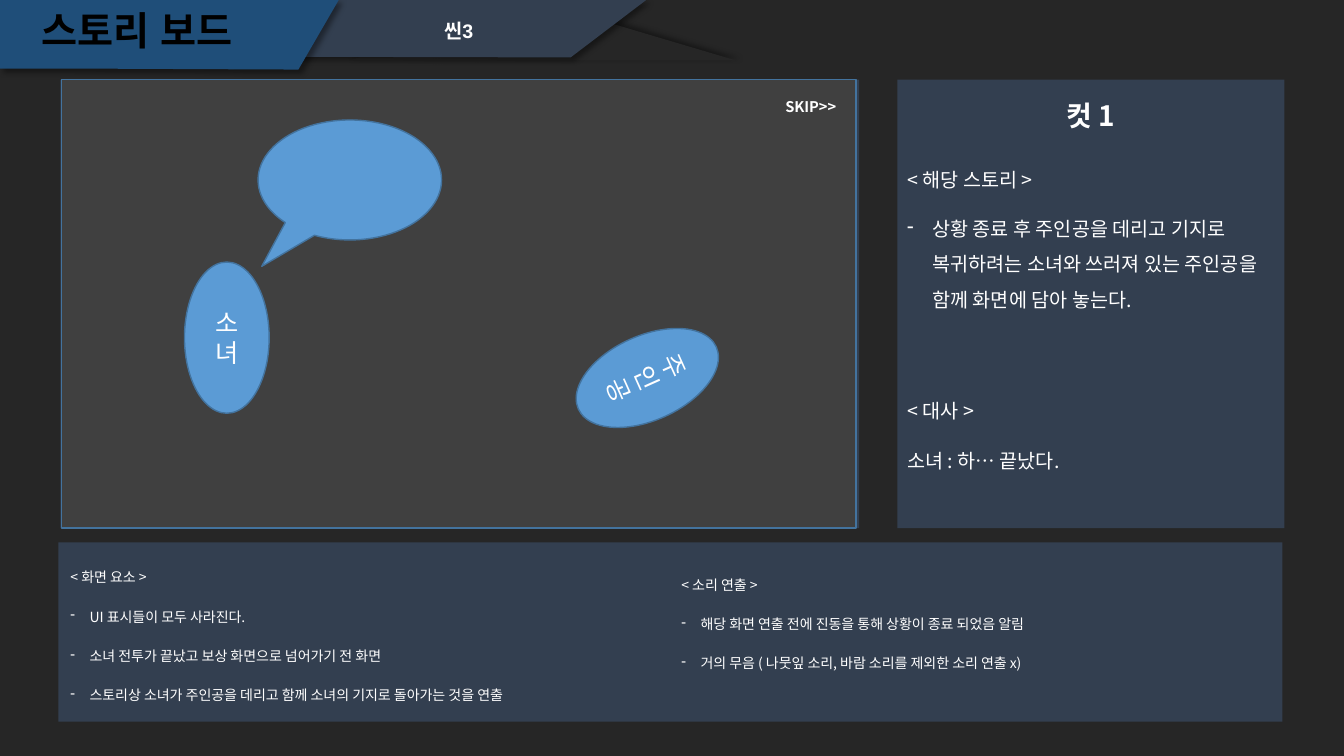
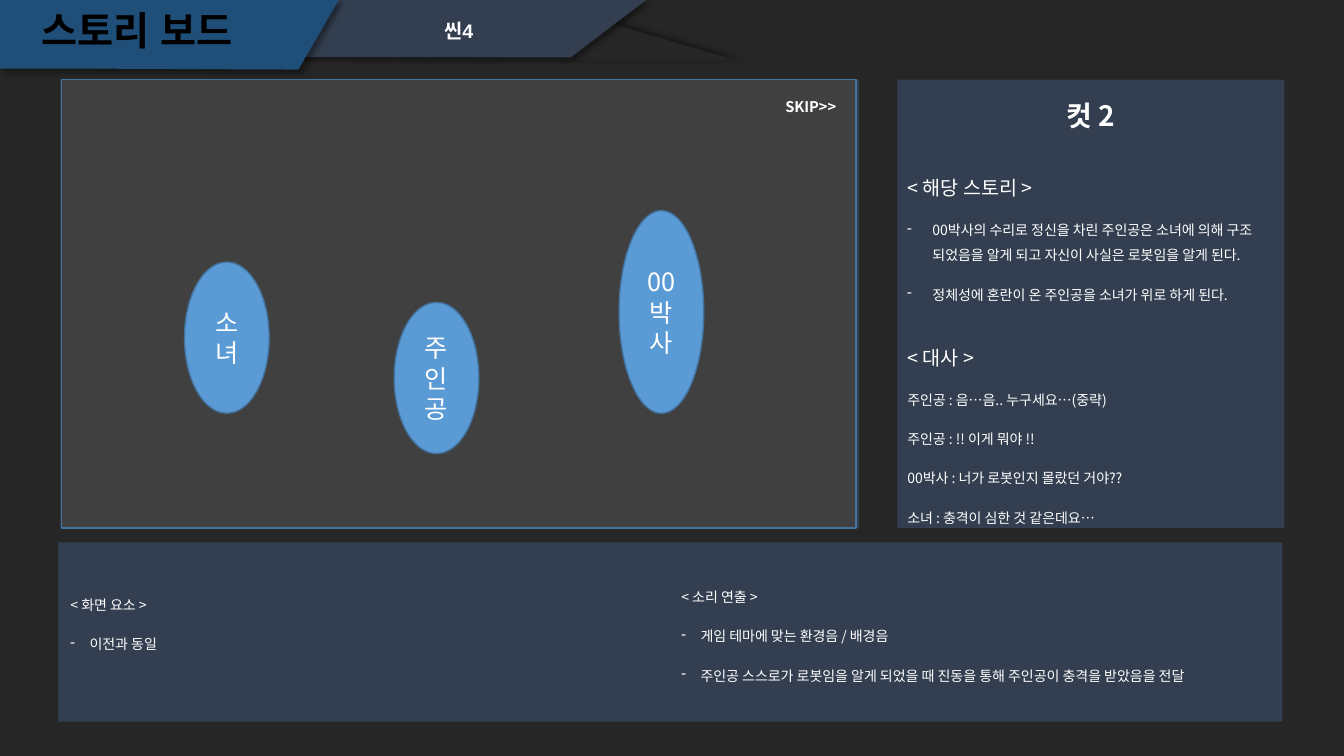
from lxml.etree import SubElement
from pptx import Presentation
from pptx.dml.color import RGBColor
from pptx.enum.shapes import MSO_SHAPE
from pptx.enum.text import MSO_ANCHOR, MSO_AUTO_SIZE, PP_ALIGN
from pptx.oxml.ns import qn
from pptx.util import Inches, Pt

NIGHT, SLATE, NAVY, STAGE = "262626", "333F50", "1F4E79", "404040"
SKY, EDGE, WHITE, BLACK = "5B9BD5", "43739E", "FFFFFF", "000000"
KOREAN = "Noto Sans CJK KR"


def paint(shape, fill, edge=None, shadow_angle=None):
    shape.shadow.inherit = False
    shape.fill.solid()
    shape.fill.fore_color.rgb = RGBColor.from_string(fill)
    if edge:
        shape.line.color.rgb = RGBColor.from_string(edge)
        shape.line.width = Pt(1)
    else:
        shape.line.fill.background()
    if shadow_angle is not None:
        effects = shape.element.spPr.find(qn("a:effectLst"))
        shadow = SubElement(effects, qn("a:outerShdw"), blurRad=str(Pt(4)), dist=str(Pt(3)),
                            dir=str(shadow_angle * 60000), algn="tl", rotWithShape="0")
        tint = SubElement(shadow, qn("a:srgbClr"), val=BLACK)
        SubElement(tint, qn("a:alpha"), val="40000")


def write(shape, lines, align=PP_ALIGN.LEFT, spacing=1.0, anchor=MSO_ANCHOR.MIDDLE,
          bold=False, typeface=KOREAN, color=WHITE, bottom=0.05):
    frame = shape.text_frame
    frame_format = {"word_wrap": True, "auto_size": MSO_AUTO_SIZE.NONE, "vertical_anchor": anchor,
                    "margin_left": Inches(0.1), "margin_right": Inches(0.1),
                    "margin_top": Inches(0.05), "margin_bottom": Inches(bottom)}
    for key, value in frame_format.items():
        setattr(frame, key, value)
    for position, (text, size, indent) in enumerate(lines):
        paragraph = frame.add_paragraph() if position else frame.paragraphs[0]
        if indent:
            properties = paragraph._p.get_or_add_pPr()
            properties.set("marL", str(Inches(indent)))
            properties.set("indent", str(-Inches(indent)))
            SubElement(properties, qn("a:buChar"), char="-")
        paragraph_format = {"alignment": align, "line_spacing": spacing,
                            "space_before": Pt(10 if position else 0)}
        for key, value in paragraph_format.items():
            setattr(paragraph, key, value)
        run = paragraph.add_run()
        run.text = text
        for key, value in {"name": typeface, "size": Pt(size), "bold": bold}.items():
            setattr(run.font, key, value)
        run.font.color.rgb = RGBColor.from_string(color)
        SubElement(run._r.get_or_add_rPr(), qn("a:ea"), typeface=typeface)


scenes = [
    {
        "scene": "씬3",
        "cut": "컷 1",
        "actors": [("주인공", 6, 3, 1.5, 65.8), ("소녀", 1.83, 2.6, 1.5, 0)],
        "speech": (2.56, 1.19, 1.82, 1.19),
        "dialogue": [("< 대사 >", 14, 0), ("소녀 : 하… 끝났다.", 14, 0)],
        "story": [
            ("< 해당 스토리 >", 14, 0),
            ("상황 종료 후 주인공을 데리고 기지로 복귀하려는 소녀와 쓰러져 있는 주인공을 함께 화면에 담아 놓는다.", 14, 0.25),
        ],
        "screen": [
            ("< 화면 요소 >", 10, 0),
            ("UI 표시들이 모두 사라진다.", 10, 0.19),
            ("소녀 전투가 끝났고 보상 화면으로 넘어가기 전 화면", 10, 0.19),
            ("스토리상 소녀가 주인공을 데리고 함께 소녀의 기지로 돌아가는 것을 연출", 10, 0.19),
        ],
        "sound": [
            ("< 소리 연출 >", 10, 0),
            ("해당 화면 연출 전에 진동을 통해 상황이 종료 되었음 알림", 10, 0.19),
            ("거의 무음 ( 나뭇잎 소리, 바람 소리를 제외한 소리 연출 x)", 10, 0.19),
        ],
        "raised": "sound",
    },
    {
        "scene": "씬4",
        "cut": "컷 2",
        "actors": [("주인공", 3.91, 3, 1.5, 0), ("소녀", 1.83, 2.6, 1.5, 0),
                   ("00박사", 6.14, 2.09, 2.01, 0)],
        "speech": None,
        "dialogue": [
            ("< 대사 >", 14, 0),
            ("주인공 : 음…음.. 누구세요…(중략)", 10, 0),
            ("주인공 : !! 이게 뭐야 !!", 10, 0),
            ("00박사 : 너가 로봇인지 몰랐던 거야??", 10, 0),
            ("소녀 : 충격이 심한 것 같은데요…", 10, 0),
        ],
        "story": [
            ("< 해당 스토리 >", 14, 0),
            ("00박사의 수리로 정신을 차린 주인공은 소녀에 의해 구조 되었음을 알게 되고 자신이 사실은 로봇임을 알게 된다.", 10, 0.25),
            ("정체성에 혼란이 온 주인공을 소녀가 위로 하게 된다.", 10, 0.25),
        ],
        "screen": [("< 화면 요소 >", 10, 0), ("이전과 동일", 10, 0.19)],
        "sound": [
            ("< 소리 연출 >", 10, 0),
            ("게임 테마에 맞는 환경음 / 배경음", 10, 0.19),
            ("주인공 스스로가 로봇임을 알게 되었을 때 진동을 통해 주인공이 충격을 받았음을 전달", 10, 0.19),
        ],
        "raised": "screen",
    },
]
note_places = {
    "dialogue": (8.9, 3.29, 3.85, 1.95),
    "story": (8.9, 1.34, 3.84, 1.95),
    "screen": (0.6, 5.38, 6.06, 1.78),
    "sound": (6.66, 5.38, 6.06, 1.78),
}

prs = Presentation()
prs.slide_width, prs.slide_height = Inches(13.33), Inches(7.5)
prs.slide_master.background.fill.solid()
prs.slide_master.background.fill.fore_color.rgb = RGBColor.from_string(NIGHT)
layout = prs.slide_layouts[5]
for placeholder in list(layout.placeholders)[1:]:
    layout.shapes.element.remove(placeholder.element)
slides = [prs.slides.add_slide(layout) for scene in scenes]

canvas = slides[0].shapes
fold = canvas.add_shape(MSO_SHAPE.ISOSCELES_TRIANGLE, *map(Inches, (3.46, 0.03, 3.84, 0.57)))
paint(fold, NIGHT, shadow_angle=315)
shared = [fold]
bands = [
    (SLATE, [(0.05, 0), (6.41, 0), (5.66, 0.57), (1.38, 0.56), (0.05, 0.56)]),
    (NAVY, [(0, 0), (3.36, 0), (2.96, 0.69), (0.7, 0.68), (0, 0.68)]),
]
for fill, corners in bands:
    start, *rest = [(Inches(x), Inches(y)) for x, y in corners]
    outline = canvas.build_freeform(*start)
    outline.add_line_segments(rest, close=True)
    band = outline.convert_to_shape()
    paint(band, fill, shadow_angle=45)
    shared.append(band)
for place in [(0.6, 0.79, 7.92, 4.45), (8.9, 0.79, 3.84, 4.45), (0.58, 5.38, 12.14, 1.78)]:
    panel = canvas.add_shape(MSO_SHAPE.RECTANGLE, *map(Inches, place))
    paint(panel, SLATE)
    shared.append(panel)
for part in shared:
    layout.shapes.element.append(part.element)

for slide, scene in zip(slides, scenes):
    shapes = slide.shapes
    title = shapes.title
    title_place = {"left": 0.03, "top": 0.06, "width": 2.66, "height": 0.53}
    for key, value in title_place.items():
        setattr(title, key, Inches(value))
    write(title, [("스토리 보드", 28, 0)], PP_ALIGN.CENTER, 0.9, bold=True,
          typeface="Arial", color=BLACK)

    scene_label = shapes.add_textbox(*map(Inches, (4.05, 0.16, 1, 0.32)))
    write(scene_label, [(scene["scene"], 14, 0)], PP_ALIGN.CENTER, 0.9, MSO_ANCHOR.TOP,
          bold=True, typeface="Arial")
    cut_label = shapes.add_textbox(*map(Inches, (8.9, 0.79, 3.83, 0.54)))
    write(cut_label, [(scene["cut"], 20, 0)], PP_ALIGN.CENTER, 1.5, bold=True)

    stage = shapes.add_shape(MSO_SHAPE.RECTANGLE, *map(Inches, (0.61, 0.79, 7.88, 4.45)))
    paint(stage, STAGE, EDGE)
    for name, left, top, height, turn in scene["actors"]:
        actor = shapes.add_shape(MSO_SHAPE.OVAL, *map(Inches, (left, top, 0.84, height)))
        actor.rotation = turn
        paint(actor, SKY, EDGE)
        write(actor, [(name, 18, 0)], PP_ALIGN.CENTER)

    for topic, place in note_places.items():
        note = shapes.add_textbox(*map(Inches, place))
        write(note, scene[topic], spacing=1.5, bottom=0.29 if topic == scene["raised"] else 0.05)

    skip = shapes.add_textbox(*map(Inches, (7.69, 0.92, 1, 0.29)))
    write(skip, [("SKIP>>", 10.5, 0)], anchor=MSO_ANCHOR.TOP, bold=True)
    if scene["speech"]:
        speech = shapes.add_shape(MSO_SHAPE.OVAL_CALLOUT, *map(Inches, scene["speech"]))
        speech.adjustments[0], speech.adjustments[1] = -0.48, 0.72
        paint(speech, SKY, EDGE)

prs.save("out.pptx")
